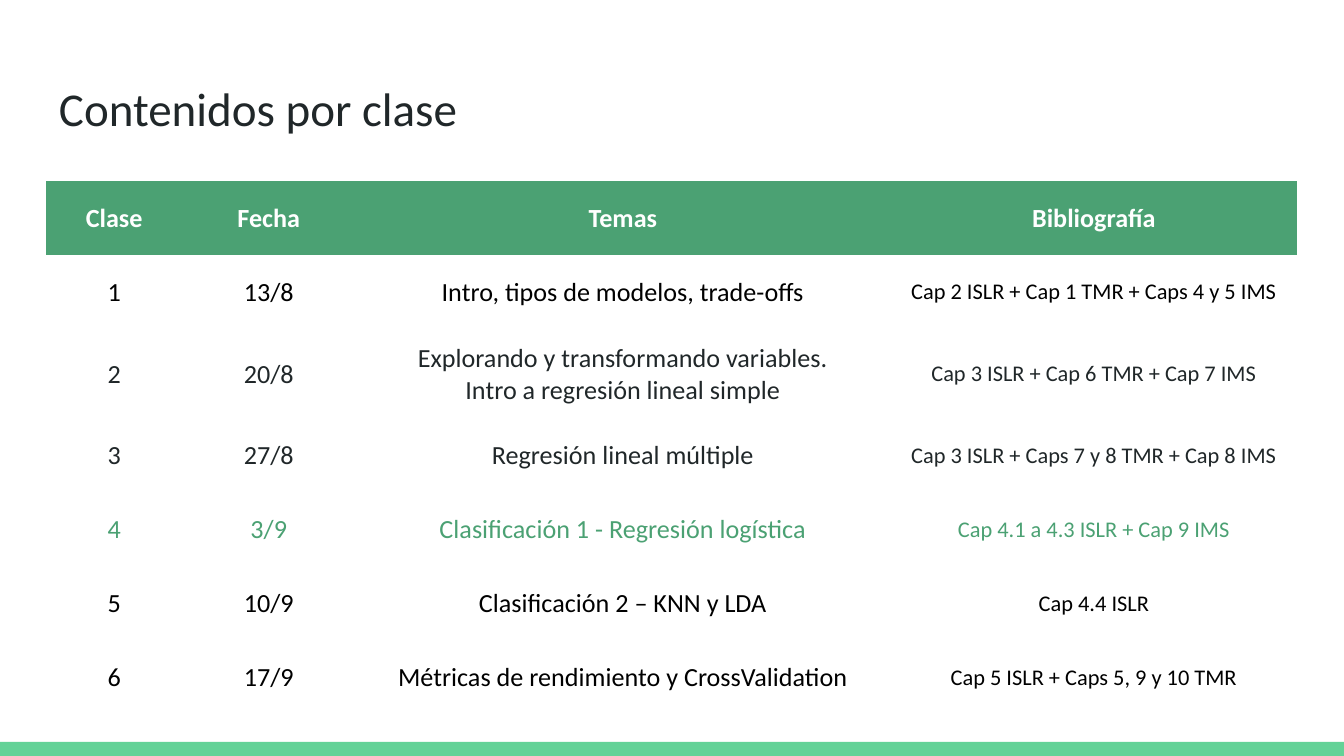
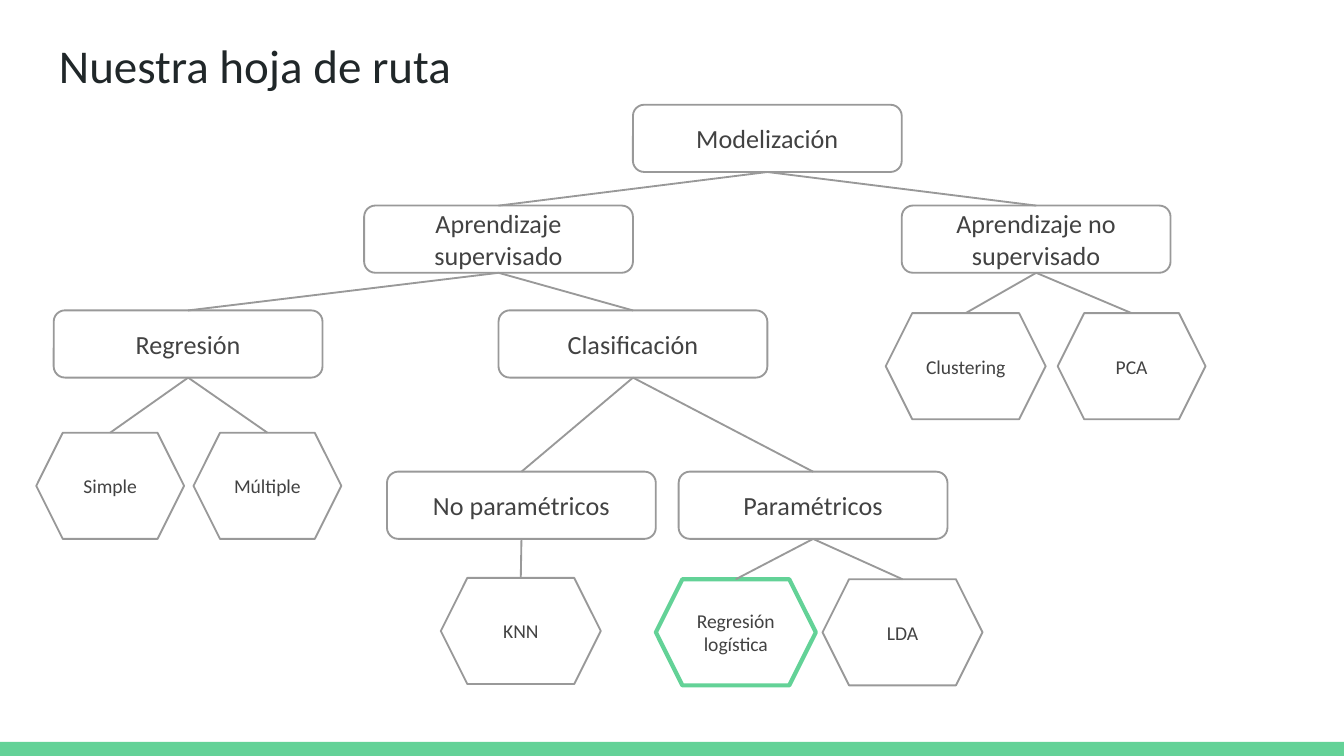
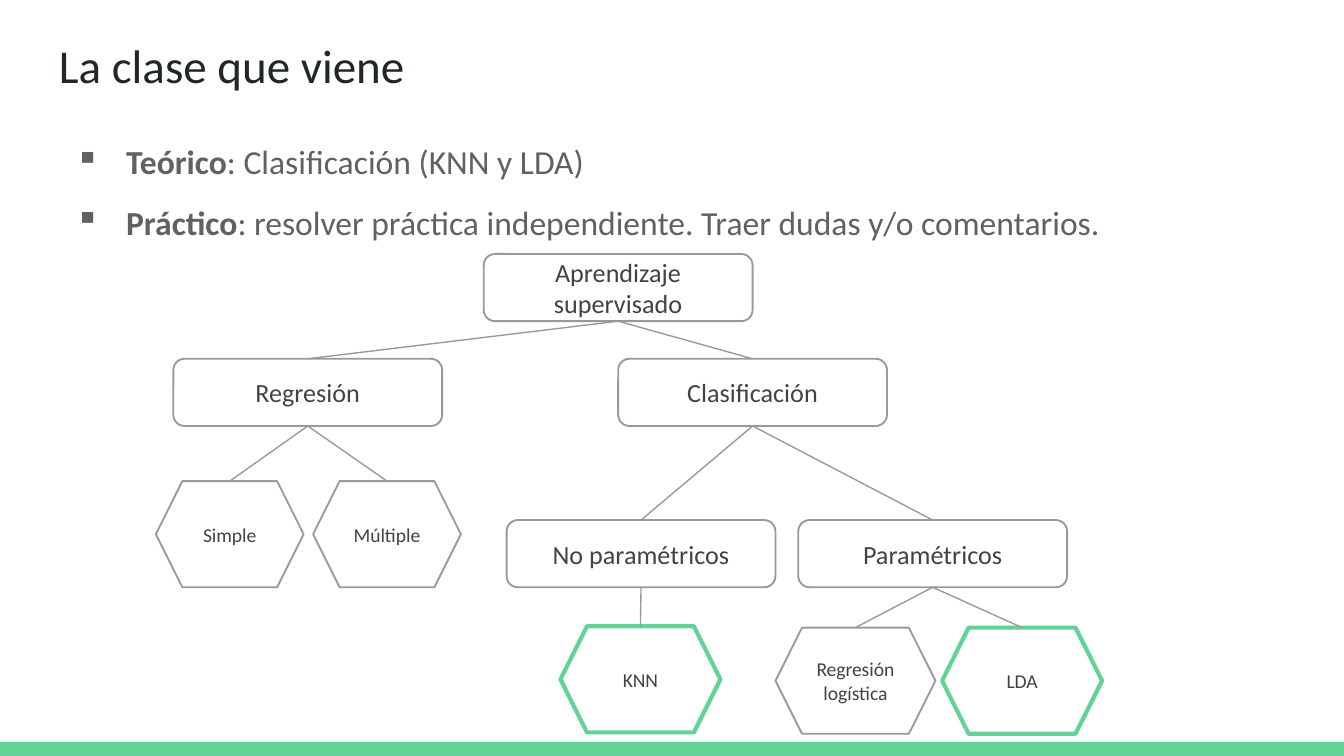
import collections
import dataclasses

import pptx
import pptx.dml.color
import pptx.enum.shapes
import pptx.enum.text
import pptx.oxml
import pptx.oxml.ns
import pptx.util

Inches = pptx.util.Inches
Pt = pptx.util.Pt
SHAPE = pptx.enum.shapes.MSO_SHAPE
ALIGN = pptx.enum.text.PP_ALIGN
ANCHOR = pptx.enum.text.MSO_ANCHOR
qn = pptx.oxml.ns.qn

NO_GRID_STYLE = "{2D5ABB26-0587-4C30-8999-92F81FD0307C}"

Node = collections.namedtuple("Node", "text left top width parent")


@dataclasses.dataclass(frozen=True)
class Theme:
    font: str = "Calibri"
    accent: str = "63D297"
    strong: str = "4BA173"
    white: str = "FFFFFF"
    black: str = "000000"
    dark: str = "202729"
    body: str = "616161"
    node: str = "424242"
    line: str = "999999"
    title_size: float = 25.2
    body_size: float = 18
    text_size: float = 14
    small_size: float = 12
    leaf_size: float = 10.5


def rgb(color):
    return pptx.dml.color.RGBColor.from_string(color)


def write(tf, text, font, size, color, bold=False, align=ALIGN.LEFT, lead="", first=True):
    for i, line in enumerate(text.split("\n")):
        p = tf.paragraphs[0] if first and i == 0 else tf.add_paragraph()
        p.alignment = align
        for part, heavy in ((lead, True), (line, bold)):
            if part:
                r = p.add_run()
                r.text = part
                r.font.name = font
                r.font.size = Pt(size)
                r.font.bold = heavy
                r.font.color.rgb = rgb(color)
    return p


def add_bullet(p, color):
    pPr = p._p.get_or_add_pPr()
    pPr.set("marL", str(Inches(0.5)))
    pPr.set("indent", str(Inches(-0.38)))
    ns = pptx.oxml.ns.nsdecls("a")
    pPr.append(pptx.oxml.parse_xml(f'<a:buClr {ns}><a:srgbClr val="{color}"/></a:buClr>'))
    pPr.append(pptx.oxml.parse_xml(f'<a:buChar {ns} char="▪"/>'))


class Deck:
    def __init__(self, theme):
        self.theme = theme
        self.prs = pptx.Presentation()
        self.prs.slide_width = Inches(10)
        self.prs.slide_height = Inches(5.625)
        self.s = None

    def slide(self, title, top=0.17):
        t = self.theme
        self.s = self.prs.slides.add_slide(self.prs.slide_layouts[6])
        self.shape(SHAPE.RECTANGLE, 0, 5.52, 10, 0.11, fill=t.accent)
        tf = self.text_frame(0.34, top, 9.32, 0.63)
        write(tf, title, t.font, t.title_size, t.dark)

    def text_frame(self, left, top, width, height):
        sp = self.s.shapes.add_textbox(Inches(left), Inches(top), Inches(width), Inches(height))
        tf = sp.text_frame
        tf.word_wrap = True
        tf.margin_left = tf.margin_right = tf.margin_top = tf.margin_bottom = Inches(0.1)
        return tf

    def shape(self, kind, left, top, width, height, fill=None, line=None, weight=1):
        sp = self.s.shapes.add_shape(
            kind, Inches(left), Inches(top), Inches(width), Inches(height))
        sp.shadow.inherit = False
        if fill:
            sp.fill.solid()
            sp.fill.fore_color.rgb = rgb(fill)
        else:
            sp.fill.background()
        if line:
            sp.line.color.rgb = rgb(line)
            sp.line.width = Pt(weight)
        else:
            sp.line.fill.background()
        return sp

    def bullets(self, items):
        t = self.theme
        tf = self.text_frame(0.34, 0.8, 9.32, 3.74)
        for i, (lead, text) in enumerate(items):
            p = write(tf, text, t.font, t.body_size, t.body, lead=lead, first=i == 0)
            p.line_spacing = 1.5
            add_bullet(p, t.body)

    def table(self, left, top, widths, row_height, rows, colors):
        t = self.theme
        frame = self.s.shapes.add_table(
            len(rows), len(widths), Inches(left), Inches(top),
            Inches(sum(widths)), Inches(row_height * len(rows)))
        table = frame.table
        table.first_row = table.horz_banding = False
        next(frame._element.iter(qn("a:tableStyleId"))).text = NO_GRID_STYLE
        for column, width in zip(table.columns, widths):
            column.width = Inches(width)
        for i, (row, color) in enumerate(zip(rows, colors)):
            table.rows[i].height = Inches(row_height)
            header = i == 0
            for j, text in enumerate(row):
                cell = table.cell(i, j)
                cell.vertical_anchor = ANCHOR.MIDDLE
                cell.margin_left = cell.margin_right = Inches(0.1)
                cell.margin_top = cell.margin_bottom = Inches(0.1)
                if header:
                    cell.fill.solid()
                    cell.fill.fore_color.rgb = rgb(t.strong)
                else:
                    cell.fill.background()
                small = not header and j == len(row) - 1
                write(cell.text_frame, text, t.font, t.small_size if small else t.text_size,
                      color, bold=header, align=ALIGN.CENTER)

    def node(self, node, height, leaf, active):
        t = self.theme
        sp = self.shape(
            SHAPE.HEXAGON if leaf else SHAPE.ROUNDED_RECTANGLE,
            node.left, node.top, node.width, height,
            line=t.accent if active else t.line, weight=2.25 if active else 1)
        tf = sp.text_frame
        tf.word_wrap = True
        tf.vertical_anchor = ANCHOR.MIDDLE
        write(tf, node.text, t.font, t.leaf_size if leaf else t.text_size,
              t.node, align=ALIGN.CENTER)

    def line(self, x1, y1, x2, y2, weight):
        cx = self.s.shapes.add_connector(
            pptx.enum.shapes.MSO_CONNECTOR.STRAIGHT,
            Inches(x1), Inches(y1), Inches(x2), Inches(y2))
        cx.line.color.rgb = rgb(self.theme.line)
        cx.line.width = Pt(weight)
        cx._element.spPr.append(pptx.oxml.parse_xml(
            f'<a:effectLst {pptx.oxml.ns.nsdecls("a")}/>'))

    def tree(self, nodes, active, dx=0, dy=0, weight=1):
        box_height, leaf_height = 0.5, 0.79
        placed = {n.text: n._replace(left=n.left + dx, top=n.top + dy) for n in nodes}
        parents = {n.parent for n in nodes}
        for n in placed.values():
            leaf = n.text not in parents
            self.node(n, leaf_height if leaf else box_height, leaf, n.text in active)
        for n in placed.values():
            up = placed.get(n.parent)
            if up:
                self.line(up.left + up.width / 2, up.top + box_height,
                          n.left + n.width / 2, n.top, weight)


SCHEDULE = [
    ("Clase", "Fecha", "Temas", "Bibliografía"),
    ("1", "13/8", "Intro, tipos de modelos, trade-offs", "Cap 2 ISLR + Cap 1 TMR + Caps 4 y 5 IMS"),
    ("2", "20/8", "Explorando y transformando variables.\nIntro a regresión lineal simple",
     "Cap 3 ISLR + Cap 6 TMR + Cap 7 IMS"),
    ("3", "27/8", "Regresión lineal múltiple", "Cap 3 ISLR + Caps 7 y 8 TMR + Cap 8 IMS"),
    ("4", "3/9", "Clasificación 1 - Regresión logística", "Cap 4.1 a 4.3 ISLR + Cap 9 IMS"),
    ("5", "10/9", "Clasificación 2 – KNN y LDA", "Cap 4.4 ISLR"),
    ("6", "17/9", "Métricas de rendimiento y CrossValidation", "Cap 5 ISLR + Caps 5, 9 y 10 TMR"),
]

SUPERVISED = [
    Node("Aprendizaje supervisado", 2.71, 1.53, 2, "Modelización"),
    Node("Regresión", 0.4, 2.31, 2, "Aprendizaje supervisado"),
    Node("Clasificación", 3.71, 2.31, 2, "Aprendizaje supervisado"),
    Node("Simple", 0.27, 3.22, 1.1, "Regresión"),
    Node("Múltiple", 1.44, 3.22, 1.1, "Regresión"),
    Node("KNN", 3.28, 4.3, 1.19, "No paramétricos"),
    Node("Regresión logística", 4.88, 4.31, 1.19, "Paramétricos"),
    Node("LDA", 6.12, 4.31, 1.19, "Paramétricos"),
    Node("No paramétricos", 2.88, 3.51, 2, "Clasificación"),
    Node("Paramétricos", 5.05, 3.51, 2, "Clasificación"),
]

UNSUPERVISED = [
    Node("Aprendizaje no supervisado", 6.71, 1.53, 2, "Modelización"),
    Node("Clustering", 6.59, 2.33, 1.19, "Aprendizaje no supervisado"),
    Node("PCA", 7.87, 2.33, 1.1, "Aprendizaje no supervisado"),
]


def main():
    theme = Theme()
    deck = Deck(theme)

    deck.slide("Contenidos por clase", top=0.49)
    deck.table(0.34, 1.35, (1.02, 1.28, 3.99, 3.02), 0.55, SCHEDULE,
               (theme.white, theme.black, theme.dark, theme.dark,
                theme.strong, theme.black, theme.black))

    deck.slide("Nuestra hoja de ruta")
    root = Node("Modelización", 4.71, 0.78, 2, None)
    deck.tree([root] + SUPERVISED + UNSUPERVISED, {"Regresión logística"})

    deck.slide("La clase que viene")
    deck.bullets([
        ("Teórico", ": Clasificación (KNN y LDA)"),
        ("Práctico", ": resolver práctica independiente. Traer dudas y/o comentarios."),
    ])
    deck.tree(SUPERVISED, {"KNN", "LDA"}, dx=0.89, dy=0.36, weight=0.75)

    deck.prs.save("out.pptx")


if __name__ == "__main__":
    main()
